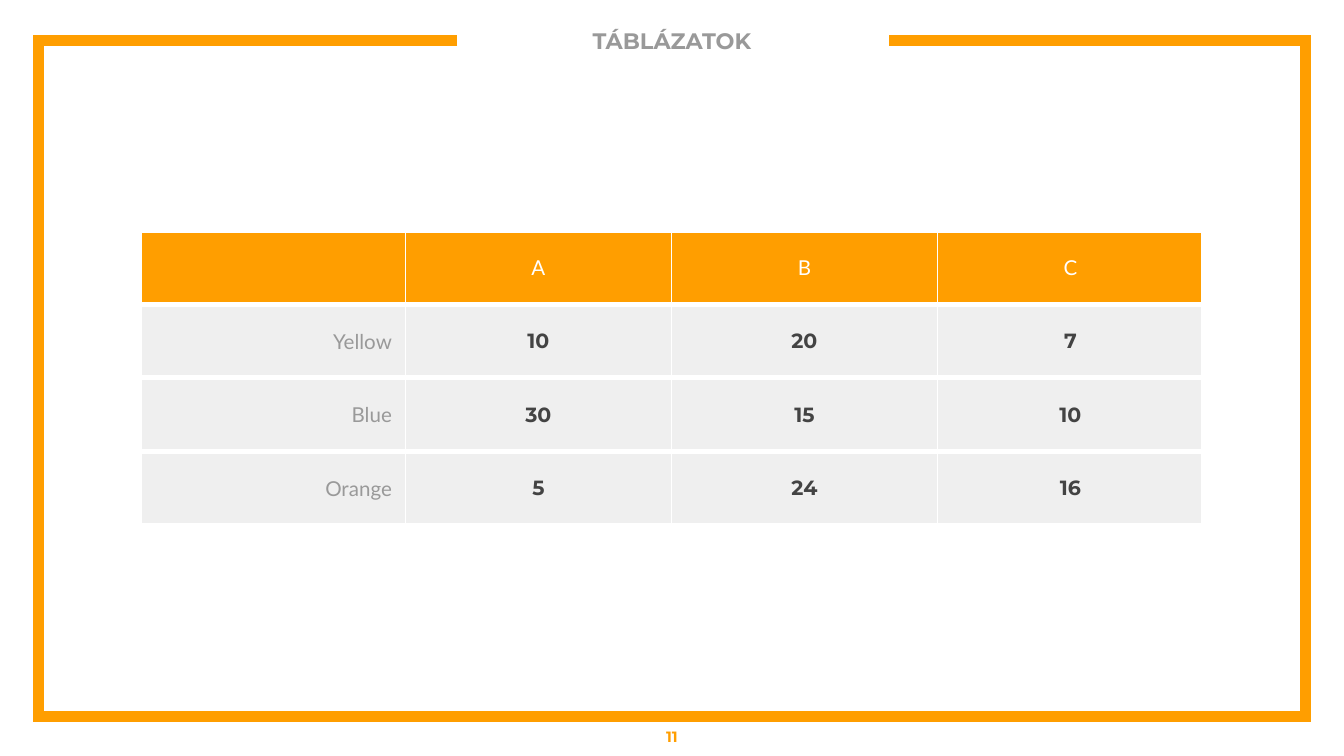
from dataclasses import dataclass

from lxml import etree
from pptx import Presentation
from pptx.dml.color import RGBColor
from pptx.enum.text import MSO_ANCHOR, PP_ALIGN
from pptx.oxml.ns import qn
from pptx.util import Pt

CENTER, RIGHT = PP_ALIGN.CENTER, PP_ALIGN.RIGHT
MIDDLE = MSO_ANCHOR.MIDDLE
ORANGE, WHITE, PALE, GRAY, DARK = "FF9E00", "FFFFFF", "EFEFEF", "999999", "434343"
WIDTH, HEIGHT = 720, 405


@dataclass(frozen=True)
class Style:
    """Look of a piece of text."""
    size: float
    name: str
    color: str
    bold: bool = False
    align: int = CENTER


@dataclass(frozen=True)
class Label:
    """Text box with its place in points."""
    text: str
    box: tuple[float, float, float, float]
    style: Style


HEAD = Style(11, "Lato", WHITE)
NAME = Style(11, "Lato", GRAY, align=RIGHT)
VALUE = Style(11, "Montserrat", DARK, True)

LABELS = [
    Label("TÁBLÁZATOK", (255.3, 7.9, 209.4, 28.1),
          Style(12, "Montserrat", GRAY, True)),
    Label("11", (0, 383.7, WIDTH, 21.3),
          Style(8, "Montserrat", ORANGE, True)),
]
ROWS = [
    ("", "A", "B", "C"),
    ("Yellow", "10", "20", "7"),
    ("Blue", "30", "15", "10"),
    ("Orange", "5", "24", "16"),
]
FRAME = [(244.9, 21.7), (20.5, 21.7), (20.5, 383.7),
         (699.5, 383.7), (699.5, 21.7), (476.1, 21.7)]


def paint(color: str) -> RGBColor:
    """Turn a hex string into a colour."""
    return RGBColor.from_string(color)


def write(frame, text: str, style: Style) -> None:
    """Put one styled paragraph into a text frame."""
    para = frame.paragraphs[0]
    para.alignment = style.align
    run = para.add_run()
    run.text = text
    form = {"size": Pt(style.size), "name": style.name, "bold": style.bold}
    for key, value in form.items():
        setattr(run.font, key, value)
    run.font.color.rgb = paint(style.color)


def add_label(slide, label: Label) -> None:
    """Add a text box centred on its middle line."""
    frame = slide.shapes.add_textbox(*map(Pt, label.box)).text_frame
    form = {"word_wrap": True, "vertical_anchor": MIDDLE, "margin_left": 0,
            "margin_right": 0, "margin_top": 0, "margin_bottom": 0}
    for key, value in form.items():
        setattr(frame, key, value)
    write(frame, label.text, label.style)


def add_frame(slide) -> None:
    """Draw the open border round the slide."""
    start, *rest = [(Pt(x), Pt(y)) for x, y in FRAME]
    draft = slide.shapes.build_freeform(*start)
    draft.add_line_segments(rest, close=False)
    shape = draft.convert_to_shape()
    shape.shadow.inherit = False
    shape.fill.background()
    shape.line.color.rgb = paint(ORANGE)
    shape.line.width = Pt(6)
    line = shape.line._get_or_add_ln()
    etree.SubElement(line, qn("a:miter"), lim="800000")


def add_edge(cell, side: str, color: str, width: float) -> None:
    """Give one side of a cell a border."""
    props = cell._tc.get_or_add_tcPr()
    line = etree.SubElement(props, qn(f"a:ln{side}"), w=str(Pt(width)))
    fill = etree.SubElement(line, qn("a:solidFill"))
    etree.SubElement(fill, qn("a:srgbClr"), val=color)


def add_grid(slide) -> None:
    """Add the table with its header row and name column."""
    count, last = len(ROWS), len(ROWS[0]) - 1
    box = map(Pt, (74.7, 123.5, 570, 158))
    table = slide.shapes.add_table(count, last + 1, *box).table
    table.horz_banding = False
    for r, row in enumerate(ROWS):
        for c, text in enumerate(row):
            cell = table.cell(r, c)
            sides = "L" * (c == 0) + "R" * (c == last) + "TB"
            for side in sides:
                add_edge(cell, side, WHITE, 3)
            cell.fill.solid()
            cell.fill.fore_color.rgb = paint(PALE if r else ORANGE)
            form = {"vertical_anchor": MIDDLE, "margin_left": Pt(7.2),
                    "margin_right": Pt(7.2), "margin_top": Pt(5),
                    "margin_bottom": Pt(5)}
            for key, value in form.items():
                setattr(cell, key, value)
            if text:
                style = HEAD if r == 0 else VALUE if c else NAME
                write(cell.text_frame, text, style)


def main() -> None:
    """Build and save the slide."""
    deck = Presentation()
    deck.slide_width, deck.slide_height = Pt(WIDTH), Pt(HEIGHT)
    slide = deck.slides.add_slide(deck.slide_layouts[6])
    add_frame(slide)
    add_grid(slide)
    for label in LABELS:
        add_label(slide, label)
    deck.save("out.pptx")


main()
